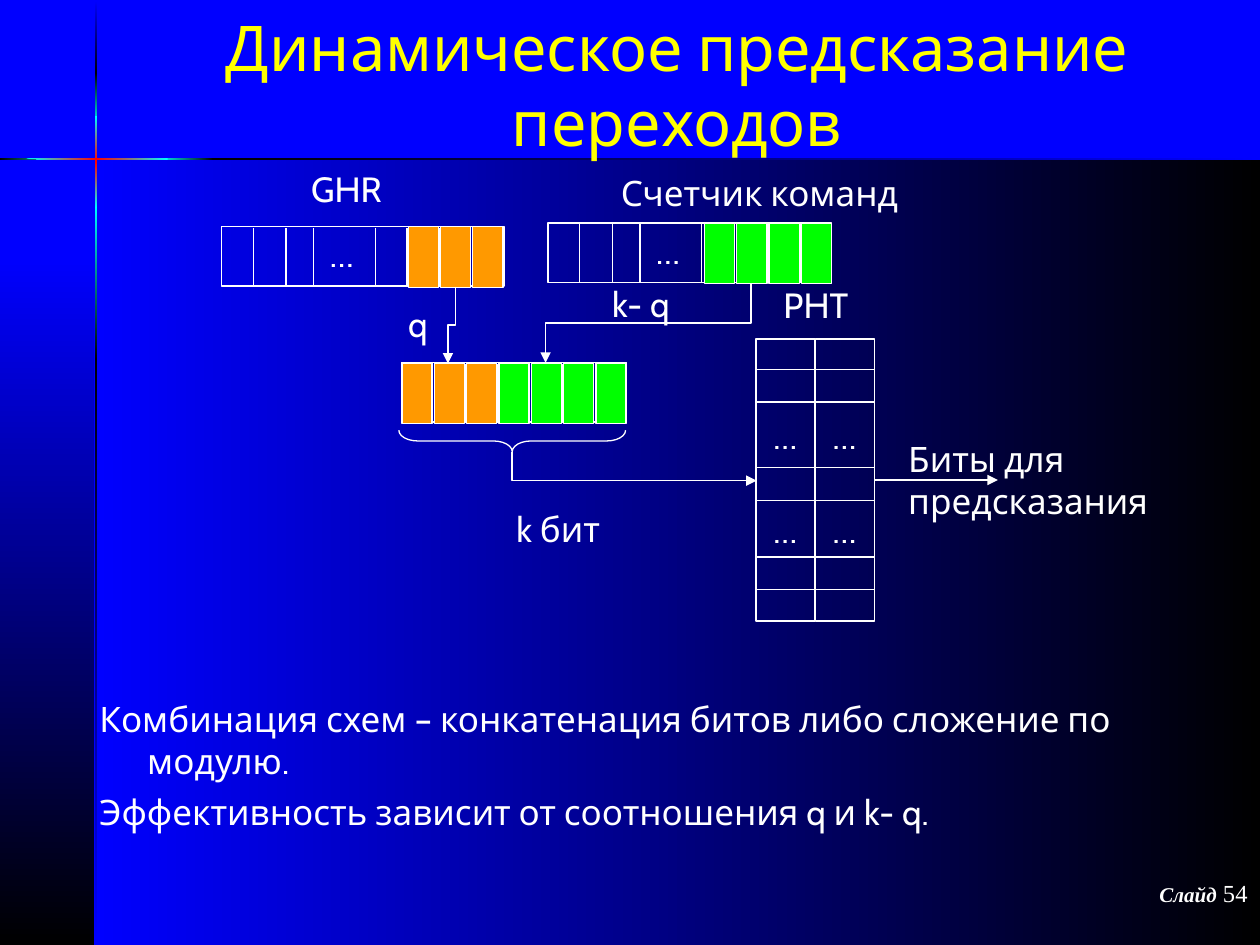
from lxml.etree import SubElement
from pptx import Presentation
from pptx.dml.color import RGBColor
from pptx.enum.shapes import MSO_CONNECTOR, MSO_SHAPE
from pptx.enum.text import MSO_ANCHOR, MSO_AUTO_SIZE, PP_ALIGN
from pptx.oxml.ns import qn
from pptx.util import Inches, Pt

WHITE, YELLOW, ORANGE, GREEN = "FFFFFF", "FFFF00", "FF9900", "00FF00"
BLUE, BLACK, CYAN, RED = "0000FF", "000000", "00FFFF", "FF0000"
CELL_PITCH = 1.54 / 6
REGISTER_DIVIDERS = (0.25, 0.51, 0.73, 1.22, 1.47, 1.73, 2)
INDEX_DIVIDERS = (0.05, 0.27, 0.5, 0.76, 1.04, 1.27, 1.54)
PHT_ROWS = (2.93, 3.19, 3.71, 3.97, 4.42, 4.68)


def color(value):
    """Turn a hex string into a colour."""
    return RGBColor.from_string(value)


def set_gradient(sp, colors, down):
    """Fill a shape with evenly spaced colours, running right or down."""
    sp.shadow.inherit = False
    sp.line.fill.background()
    sp.fill.gradient()
    sp.fill.gradient_angle = 270 if down else 0
    stops = sp._element.spPr.find(qn("a:gradFill")).find(qn("a:gsLst"))
    for stop in list(stops):
        stops.remove(stop)
    for i, value in enumerate(colors):
        gs = SubElement(stops, qn("a:gs"), pos=str(100000 * i // (len(colors) - 1)))
        SubElement(gs, qn("a:srgbClr"), val=value)


def add_band(slide, x, y, w, h, colors, down=False):
    """Add a borderless gradient rectangle."""
    sp = slide.shapes.add_shape(MSO_SHAPE.RECTANGLE, Inches(x), Inches(y), Inches(w), Inches(h))
    set_gradient(sp, colors, down)


def add_spike(slide):
    """Add the pointed red glow where the two rules cross."""
    points = [(Inches(x), Inches(y)) for x, y in
              ((0.21, 1.26), (0.6, 1.27), (1.33, 1.27), (1.33, 1.25), (0.6, 1.25))]
    builder = slide.shapes.build_freeform(*points[0])
    builder.add_line_segments(points[1:])
    set_gradient(builder.convert_to_shape(), (CYAN, RED, CYAN), False)


def add_outline(slide, x, y, w, h, fill=None, kind=MSO_SHAPE.RECTANGLE):
    """Add a shape with a thin white outline."""
    sp = slide.shapes.add_shape(kind, Inches(x), Inches(y), Inches(w), Inches(h))
    sp.shadow.inherit = False
    sp.line.color.rgb = color(WHITE)
    sp.line.width = Pt(0.75)
    if fill:
        sp.fill.solid()
        sp.fill.fore_color.rgb = color(fill)
    else:
        sp.fill.background()
    return sp


def add_line(slide, x1, y1, x2, y2, arrow=False, kind=MSO_CONNECTOR.STRAIGHT):
    """Add a thin white connector, with an arrowhead on request."""
    cxn = slide.shapes.add_connector(kind, Inches(x1), Inches(y1), Inches(x2), Inches(y2))
    cxn.line.color.rgb = color(WHITE)
    cxn.line.width = Pt(0.75)
    if arrow:
        SubElement(cxn.line._get_or_add_ln(), qn("a:tailEnd"), type="triangle")
    SubElement(cxn._element.spPr, qn("a:effectLst"))
    return cxn


def add_elbow(slide, x, y, w, h, rot, preset="bentConnector3", flip=False):
    """Add a bent arrow from its unrotated box and its rotation."""
    cxn = add_line(slide, x, y, x + w, y + h, True, MSO_CONNECTOR.ELBOW)
    spPr = cxn._element.spPr
    spPr.find(qn("a:prstGeom")).set("prst", preset)
    xfrm = spPr.find(qn("a:xfrm"))
    xfrm.set("rot", str(rot * 60000))
    if flip:
        xfrm.set("flipH", "1")


def add_run(p, text, size, face="Cabin", fill=WHITE, bold=False, italic=False):
    """Add a formatted run to a paragraph."""
    r = p.add_run()
    r.text = text
    r.font.size, r.font.name = Pt(size), face
    r.font.bold, r.font.italic = bold, italic
    r.font.color.rgb = color(fill)


def add_text(slide, x, y, w, h, *lines, size=20, fill=WHITE, wrap=False,
             align=PP_ALIGN.LEFT, anchor=MSO_ANCHOR.TOP, before=0, hanging=0):
    """Add a text box with one paragraph per line and return its frame."""
    tf = slide.shapes.add_textbox(Inches(x), Inches(y), Inches(w), Inches(h)).text_frame
    tf.word_wrap = wrap
    tf.auto_size = MSO_AUTO_SIZE.NONE if wrap else MSO_AUTO_SIZE.SHAPE_TO_FIT_TEXT
    tf.vertical_anchor = anchor
    tf.paragraphs[0].alignment = align
    for i, line in enumerate(lines):
        p = tf.add_paragraph() if i else tf.paragraphs[0]
        p.alignment = align
        p.space_before = Pt(before)
        if hanging:
            pPr = p._p.get_or_add_pPr()
            pPr.set("marL", str(Inches(hanging)))
            pPr.set("indent", str(-Inches(hanging)))
        add_run(p, line, size, fill=fill)
    return tf


def add_cells(slide, x, y, colors):
    """Add a row of filled bit cells."""
    for i, fill in enumerate(colors):
        add_outline(slide, x + i * CELL_PITCH, y, 0.24, 0.48, fill)


def add_register(slide, x, y, w, dividers):
    """Add an empty register split by vertical dividers."""
    add_outline(slide, x, y, w, 0.47)
    for dx in dividers:
        add_line(slide, x + dx, y + 0.01, x + dx, y + 0.47)


def add_pht_column(slide, x):
    """Add one column of the pattern history table."""
    sp = add_outline(slide, x, 2.69, 0.47, 2.24)
    for y in PHT_ROWS:
        add_line(slide, x + 0.01, y, x + 0.47, y)
    for y in (3.24, 3.99):
        add_text(slide, x + 0.04, y, 0.42, 0.44, "…")
    return sp


def add_backdrop(slide):
    """Add the gradient panels and the crossing rules."""
    slide.background.fill.solid()
    slide.background.fill.fore_color.rgb = color(BLUE)
    add_band(slide, 0.75, 1.25, 9.25, 6.25, (BLUE, BLACK))
    add_band(slide, 0, 2.02, 0.75, 5.48, (BLUE, BLACK), True)
    for y, h, colors in ((0.01, 0.58, (BLUE, BLACK)), (2.82, 4.68, (BLACK, BLUE)),
                         (1.63, 1.22, (CYAN, BLACK)), (0.58, 0.44, (BLACK, CYAN)),
                         (0.92, 0.73, (CYAN, RED, CYAN))):
        add_band(slide, 0.75, y, 0.02, h, colors, True)
    for x, w, colors in ((0, 0.61, (BLACK, CYAN)), (1.67, 8.33, (BLACK, BLUE)),
                         (1.25, 0.44, (CYAN, BLACK))):
        add_band(slide, x, 1.25, w, 0.02, colors)
    add_spike(slide)


def add_diagram(slide):
    """Add the registers, the combined index and the history table."""
    for x, y, cell_x, cells in ((1.76, 1.8, 3.24, [ORANGE] * 3),
                                (4.35, 1.77, 5.59, [GREEN] * 4)):
        add_register(slide, x, y, 2.24, REGISTER_DIVIDERS)
        add_text(slide, x + 0.76, y, 0.42, 0.44, "…")
        add_cells(slide, cell_x, y, cells)
    add_register(slide, 3.19, 2.88, 1.78, INDEX_DIVIDERS)
    add_cells(slide, 3.19, 2.88, [ORANGE] * 3 + [GREEN] * 4)

    add_pht_column(slide, 6)
    prediction = add_pht_column(slide, 6.47)
    add_line(slide, 6.94, 3.81, 7.92, 3.81, True).begin_connect(prediction, 3)

    brace = add_outline(slide, 3.98, 2.6, 0.17, 1.8, kind=MSO_SHAPE.RIGHT_BRACE)
    brace.rotation = 90
    brace.adjustments[0] = 0.88
    add_elbow(slide, 4.92, 2.73, 0.23, 1.94, 270, "bentConnector2", True)
    add_elbow(slide, 3.28, 2.55, 0.61, 0.06, 90)
    add_elbow(slide, 4.83, 1.75, 0.63, 1.63, 90)

    add_text(slide, 2.37, 1.28, 0.78, 0.44, "GHR")
    add_text(slide, 4.83, 1.31, 2.42, 0.44, "Счетчик команд")
    add_text(slide, 6.12, 2.2, 0.73, 0.44, "PHT")
    add_text(slide, 4.76, 2.19, 0.68, 0.44, "k- q")
    add_text(slide, 3.14, 2.35, 0.37, 0.44, "q")
    add_text(slide, 4, 3.98, 0.9, 0.44, "k бит")
    add_text(slide, 7.11, 3.42, 2.1, 0.77, "Биты для", "предсказания")


def main():
    """Build the slide and save it."""
    prs = Presentation()
    prs.slide_width, prs.slide_height = Inches(10), Inches(7.5)
    slide = prs.slides.add_slide(prs.slide_layouts[6])
    add_backdrop(slide)
    add_text(slide, 0.75, 0.08, 9.25, 1.17, "Динамическое предсказание переходов",
             size=36, fill=YELLOW, wrap=True, align=PP_ALIGN.CENTER, anchor=MSO_ANCHOR.MIDDLE)
    add_text(slide, 0.69, 5.49, 9.25, 2,
             "Комбинация схем – конкатенация битов либо сложение по модулю.",
             "Эффективность зависит от соотношения q и k- q.",
             wrap=True, before=5, hanging=0.38)
    p = add_text(slide, 7.92, 6.92, 2.08, 0.5, wrap=True, align=PP_ALIGN.RIGHT).paragraphs[0]
    add_run(p, "Слайд", 12, "Times New Roman", bold=True, italic=True)
    add_run(p, " 54", 14, "Times New Roman")
    add_diagram(slide)
    prs.save("out.pptx")


if __name__ == "__main__":
    main()
